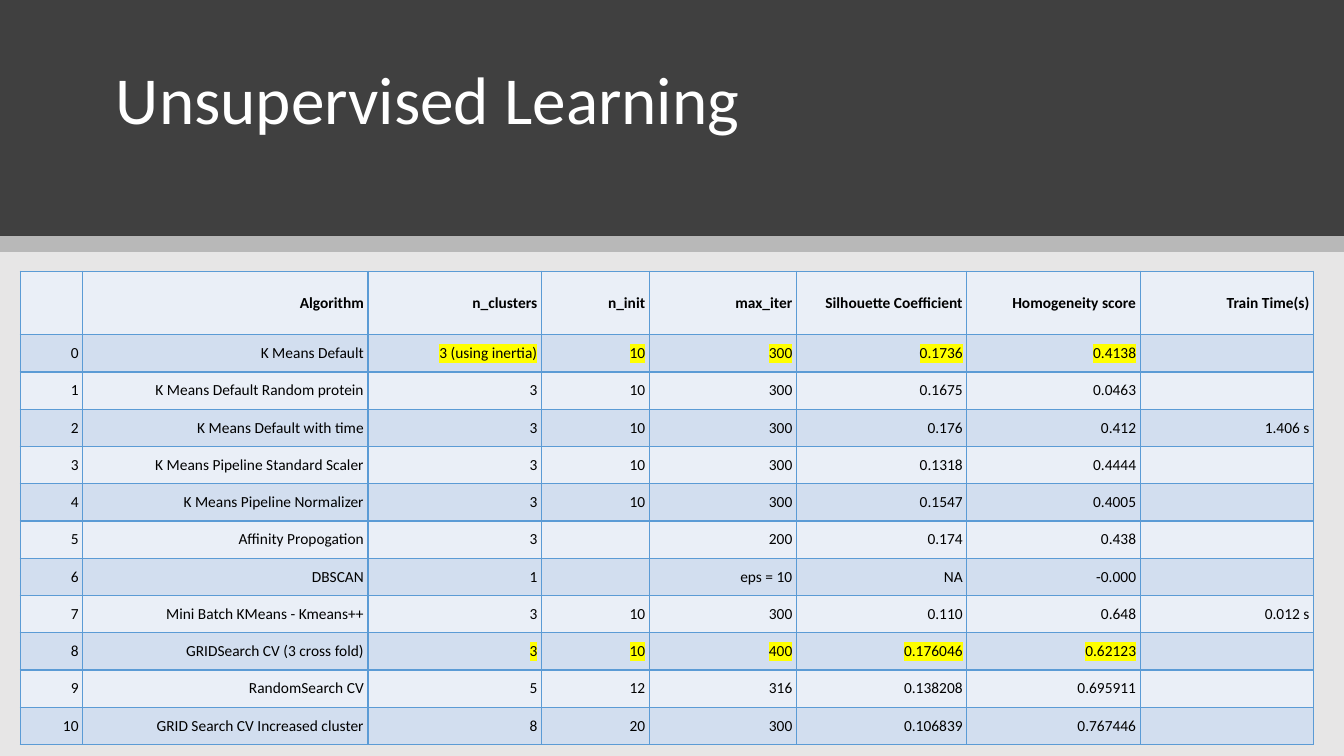
from dataclasses import dataclass

from lxml import etree
from pptx import Presentation
from pptx import util as u
from pptx.dml.color import RGBColor
from pptx.enum import shapes, text
from pptx.oxml.ns import qn


@dataclass(frozen=True)
class Theme:
    font: str = "Calibri"
    title_size: int = 48
    cell_size: int = 11
    border_width: int = 1
    page: str = "E7E6E6"
    banner: str = "404040"
    strip: str = "000000"
    strip_opacity: int = 20
    title: str = "FFFFFF"
    ink: str = "000000"
    bands: tuple = ("EAEFF7", "D2DEEF")
    border: str = "5B9BD5"
    marker: str = "FFFF00"


HEADERS = ["", "Algorithm", "n_clusters", "n_init", "max_iter",
           "Silhouette Coefficient", "Homogeneity score", "Train Time(s)"]
RESULTS = [
    ["K Means Default", "3 (using inertia)", "10", "300", "0.1736", "0.4138", ""],
    ["K Means Default Random protein", "3", "10", "300", "0.1675", "0.0463", ""],
    ["K Means Default with time", "3", "10", "300", "0.176", "0.412", "1.406 s"],
    ["K Means Pipeline Standard Scaler", "3", "10", "300", "0.1318", "0.4444", ""],
    ["K Means Pipeline Normalizer", "3", "10", "300", "0.1547", "0.4005", ""],
    ["Affinity Propogation", "3", "", "200", "0.174", "0.438", ""],
    ["DBSCAN", "1", "", "eps = 10", "NA", "-0.000", ""],
    ["Mini Batch KMeans - Kmeans++", "3", "10", "300", "0.110", "0.648", "0.012 s"],
    ["GRIDSearch CV (3 cross fold)", "3", "10", "400", "0.176046", "0.62123", ""],
    ["RandomSearch CV", "5", "12", "316", "0.138208", "0.695911", ""],
    ["GRID Search CV Increased cluster", "8", "20", "300", "0.106839", "0.767446", ""],
]
MARKED_RESULTS = (0, 8)
MARKED_COLUMNS = range(2, 7)
COLUMN_WIDTHS = [0.62, 2.83, 1.72, 1.07, 1.46, 1.69, 1.72, 1.72]
HEADER_HEIGHT, ROW_HEIGHT = 0.63, 0.37


def add_solid_fill(parent, tag, color):
    """Append a child of the given tag that holds an sRGB colour."""
    child = etree.SubElement(parent, qn(tag))
    return etree.SubElement(child, qn("a:srgbClr"), val=color)


class SlideBuilder:
    def __init__(self, prs, theme):
        self.theme = theme
        self.slide = prs.slides.add_slide(prs.slide_layouts[5])

    def band(self, top, height, color, opacity=None):
        sp = self.slide.shapes.add_shape(
            shapes.MSO_SHAPE.RECTANGLE, 0, u.Inches(top), u.Inches(13.33), u.Inches(height))
        sp.shadow.inherit = False
        sp.fill.solid()
        sp.fill.fore_color.rgb = RGBColor.from_string(color)
        sp.line.fill.background()
        if opacity is not None:
            rgb = sp.fill._xPr.find(qn("a:solidFill")).find(qn("a:srgbClr"))
            etree.SubElement(rgb, qn("a:alpha"), val=str(opacity * 1000))

    def run(self, p, words, size, color, bold=False):
        r = p.add_run()
        r.text = words
        r.font.name = self.theme.font
        r.font.size = u.Pt(size)
        r.font.bold = bold
        r.font.color.rgb = RGBColor.from_string(color)
        return r

    def title(self, words, left, top, width, height):
        sp = self.slide.shapes.title
        sp.left, sp.top = u.Inches(left), u.Inches(top)
        sp.width, sp.height = u.Inches(width), u.Inches(height)
        self.slide.shapes._spTree.append(sp._element)  # in front of the bands
        tf = sp.text_frame
        tf.auto_size = text.MSO_AUTO_SIZE.NONE
        tf.word_wrap = True
        tf.vertical_anchor = text.MSO_ANCHOR.BOTTOM
        p = tf.paragraphs[0]
        p.alignment = text.PP_ALIGN.LEFT
        p.line_spacing = 0.9
        self.run(p, words, self.theme.title_size, self.theme.title)

    def cell(self, cell, words, fill, bold, marked):
        cell.fill.solid()
        cell.fill.fore_color.rgb = RGBColor.from_string(fill)
        cell.vertical_anchor = text.MSO_ANCHOR.MIDDLE
        cell.margin_left = cell.margin_right = u.Inches(0.04)
        cell.margin_top = cell.margin_bottom = u.Inches(0.02)
        self.borders(cell)
        p = cell.text_frame.paragraphs[0]
        p.alignment = text.PP_ALIGN.RIGHT
        p.font.size = u.Pt(self.theme.cell_size)
        if words:
            r = self.run(p, words, self.theme.cell_size, self.theme.ink, bold)
            if marked:
                self.highlight(r)

    def borders(self, cell):
        props = cell._tc.get_or_add_tcPr()
        for position, side in enumerate(("a:lnL", "a:lnR", "a:lnT", "a:lnB")):
            line = etree.Element(qn(side), w=str(u.Pt(self.theme.border_width)))
            add_solid_fill(line, "a:solidFill", self.theme.border)
            props.insert(position, line)

    def highlight(self, r):
        props = r._r.get_or_add_rPr()
        add_solid_fill(props, "a:highlight", self.theme.marker)
        props.find(qn("a:solidFill")).addnext(props.find(qn("a:highlight")))

    def results_table(self, left, top):
        rows = [HEADERS] + [[str(i), *result] for i, result in enumerate(RESULTS)]
        heights = [HEADER_HEIGHT] + [ROW_HEIGHT] * len(RESULTS)
        table = self.slide.shapes.add_table(
            len(rows), len(HEADERS), u.Inches(left), u.Inches(top),
            u.Inches(sum(COLUMN_WIDTHS)), u.Inches(sum(heights))).table
        for column, width in zip(table.columns, COLUMN_WIDTHS):
            column.width = u.Inches(width)
        for i, (values, height) in enumerate(zip(rows, heights)):
            table.rows[i].height = u.Inches(height)
            for j, words in enumerate(values):
                marked = i - 1 in MARKED_RESULTS and j in MARKED_COLUMNS
                self.cell(table.cell(i, j), words, self.theme.bands[i % 2], i == 0, marked)


def main():
    prs = Presentation()
    prs.slide_width, prs.slide_height = u.Inches(13.33), u.Inches(7.5)
    theme = Theme()
    s = SlideBuilder(prs, theme)
    s.band(0, 7.5, theme.page)
    s.band(0, 2.34, theme.banner)
    s.band(2.34, 0.16, theme.strip, theme.strip_opacity)
    s.title("Unsupervised Learning", 1.05, 0.47, 11.24, 0.96)
    s.results_table(0.2, 2.69)
    prs.save("out.pptx")


if __name__ == "__main__":
    main()
